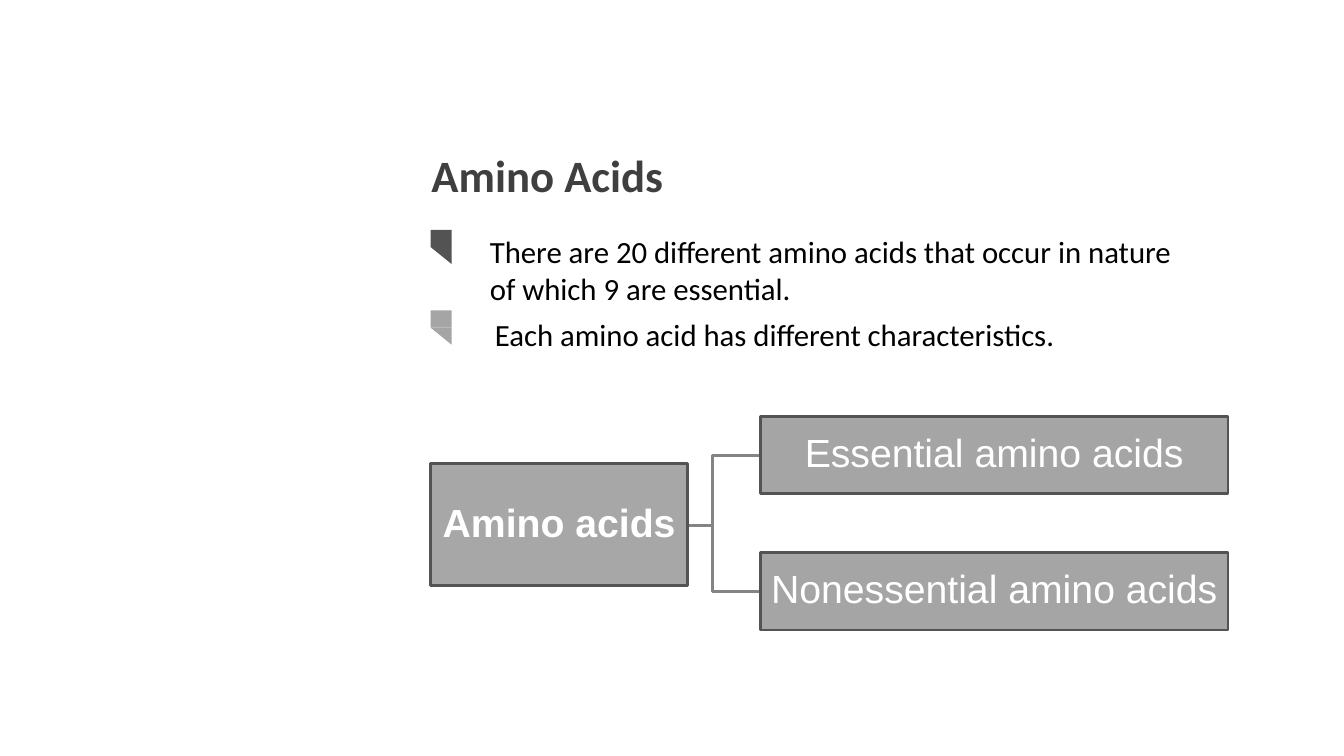
from pptx import Presentation
from pptx.dml.color import RGBColor
from pptx.enum.shapes import MSO_SHAPE
from pptx.enum.text import MSO_ANCHOR, MSO_AUTO_SIZE, PP_ALIGN
from pptx.util import Inches, Pt


def color(value):
    return RGBColor.from_string(value)


def write(shape, text, font_name, size, text_color, bold=False, margin=0.05):
    frame = shape.text_frame
    frame.text = text
    frame.word_wrap = True
    frame.auto_size = MSO_AUTO_SIZE.NONE
    frame.vertical_anchor = MSO_ANCHOR.MIDDLE
    frame.margin_left = frame.margin_right = Inches(margin)
    frame.margin_top = frame.margin_bottom = Inches(margin)
    paragraph = frame.paragraphs[0]
    paragraph.alignment = PP_ALIGN.CENTER
    paragraph.line_spacing = 0.9
    font = paragraph.runs[0].font
    font.name = font_name
    font.size = Pt(size)
    font.bold = bold
    font.color.rgb = color(text_color)


presentation = Presentation()
presentation.slide_width = Inches(13.33)
presentation.slide_height = Inches(7.5)
slide = presentation.slides.add_slide(presentation.slide_layouts[5])

title = slide.shapes.title
title.left, title.top = Inches(2.75), Inches(1.35)
title.width, title.height = Inches(5.36), Inches(0.84)
write(title, "Amino Acids", "Calibri", 32, "3F3F3F", bold=True)

facts = [
    ("There are 20 different amino acids that occur in nature of which 9 are essential.",
     4.76, 2.26, 0.84, 2.28, "535353"),
    ("Each amino acid has different characteristics.",
     4.81, 3.08, 0.47, 3.08, "A5A5A5"),
]
for text, left, top, height, marker_top, marker_color in facts:
    square = slide.shapes.add_shape(
        MSO_SHAPE.RECTANGLE, Inches(4.27), Inches(marker_top), Inches(0.21), Inches(0.17))
    tip = slide.shapes.add_shape(
        MSO_SHAPE.ISOSCELES_TRIANGLE,
        Inches(4.27), Inches(marker_top + 0.17), Inches(0.21), Inches(0.17))
    tip.adjustments[0] = 0
    tip.rotation = 180
    for part in (square, tip):
        part.shadow.inherit = False
        part.fill.solid()
        part.fill.fore_color.rgb = color(marker_color)
        part.line.fill.background()

    fact = slide.shapes.add_textbox(Inches(left), Inches(top), Inches(7.07), Inches(height))
    write(fact, text, "Calibri", 22, "000000")
    fact.text_frame.vertical_anchor = MSO_ANCHOR.TOP
    fact.text_frame.margin_left = fact.text_frame.margin_right = Inches(0.1)
    paragraph = fact.text_frame.paragraphs[0]
    paragraph.alignment = PP_ALIGN.LEFT
    paragraph.line_spacing = 1.0

for branch_end in (5.87, 4.52):
    builder = slide.shapes.build_freeform(Inches(6.82), Inches(5.21))
    builder.add_line_segments(
        [(Inches(7.07), Inches(5.21)),
         (Inches(7.07), Inches(branch_end)),
         (Inches(7.54), Inches(branch_end))],
        close=False)
    branch = builder.convert_to_shape()
    branch.shadow.inherit = False
    branch.fill.background()
    branch.line.color.rgb = color("848484")
    branch.line.width = Pt(2)

boxes = [
    ("Amino acids", 4.27, 4.6, 2.55, 1.21, "A7A7A7", True),
    ("Essential amino acids", 7.54, 4.13, 4.64, 0.77, "A5A5A5", False),
    ("Nonessential amino acids", 7.54, 5.48, 4.64, 0.77, "A5A5A5", False),
]
for text, left, top, width, height, fill_color, bold in boxes:
    box = slide.shapes.add_shape(
        MSO_SHAPE.RECTANGLE, Inches(left), Inches(top), Inches(width), Inches(height))
    box.shadow.inherit = False
    box.fill.solid()
    box.fill.fore_color.rgb = color(fill_color)
    box.line.color.rgb = color("535353")
    box.line.width = Pt(2)
    write(box, text, "Arial", 28, "FFFFFF", bold, margin=0.02)

presentation.save("out.pptx")
